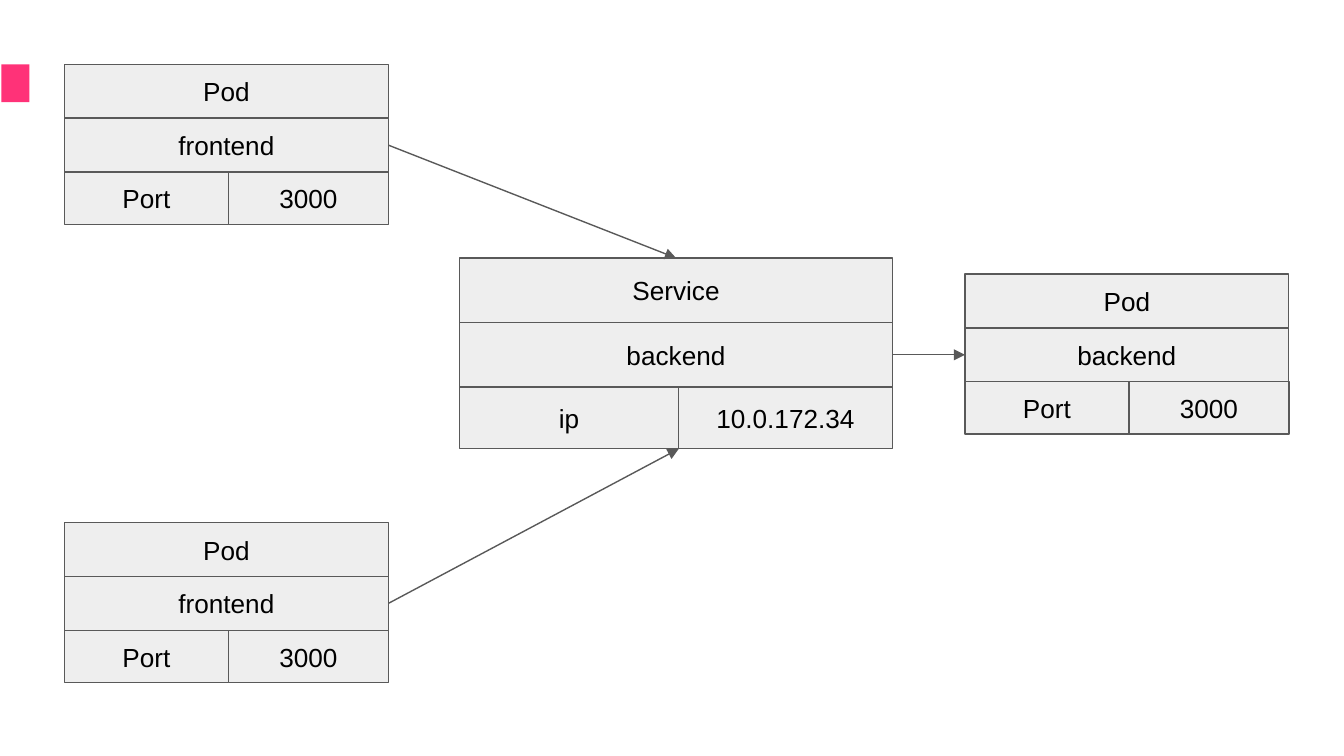
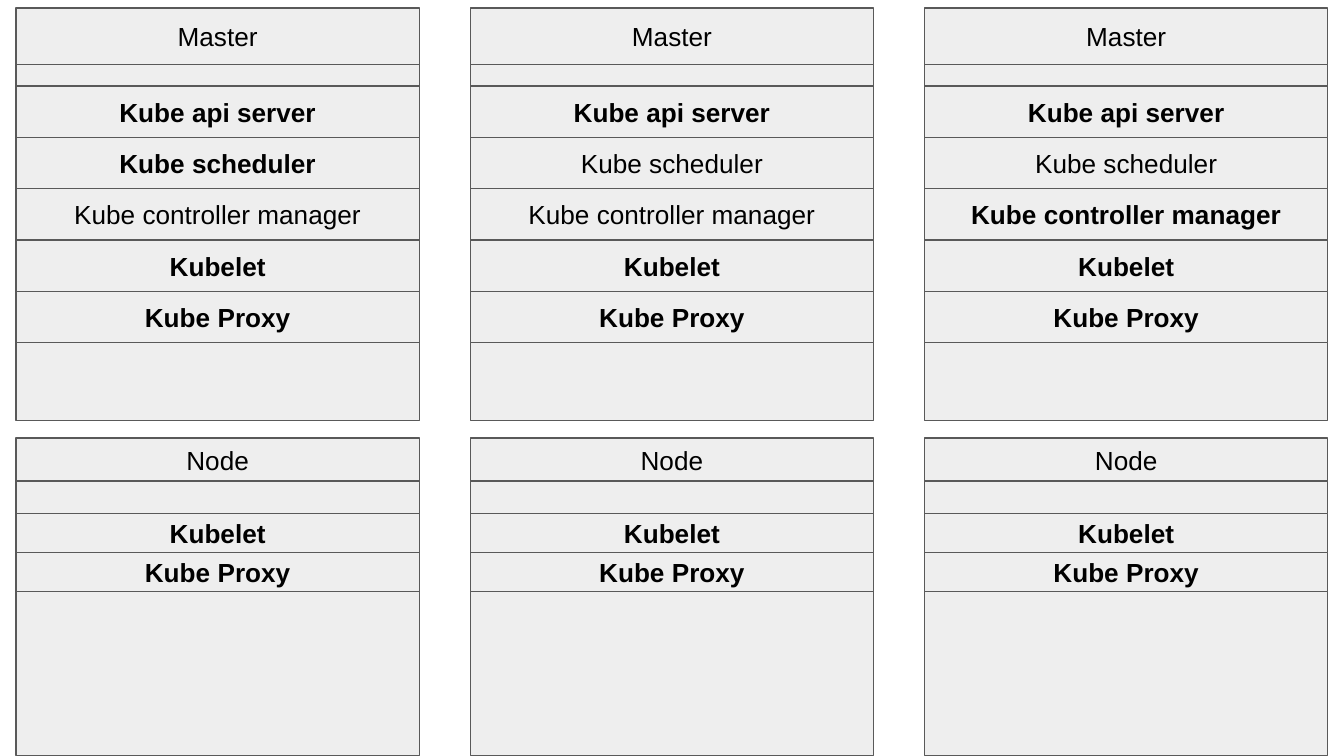
from lxml import etree
from pptx import Presentation
from pptx.dml.color import RGBColor
from pptx.enum.shapes import MSO_CONNECTOR as CONNECTOR, MSO_SHAPE as SHAPE
from pptx.enum.text import MSO_ANCHOR as ANCHOR, PP_ALIGN as ALIGN
from pptx.oxml.ns import qn
from pptx.util import Inches, Pt

ACCENT, FILL, LINE, TEXT = "FF3278", "EEEEEE", "595959", "000000"
FONT, SIZE, LINE_WIDTH = "Arial", 14, 0.75

# Slide 1: width, heading row height, bottom row height, width of the key cell
POD_SIZE = (2.41, 0.4, 0.39, 1.22)
SERVICE_SIZE = (3.22, 0.48, 0.46, 1.63)
CARDS = {
    "top frontend": (0.48, 0.48, POD_SIZE, ("Pod", "frontend", "Port", "3000")),
    "bottom frontend": (0.48, 3.89, POD_SIZE, ("Pod", "frontend", "Port", "3000")),
    "backend pod": (7.18, 2.04, POD_SIZE, ("Pod", "backend", "Port", "3000")),
    "service": (3.42, 1.92, SERVICE_SIZE, ("Service", "backend", "ip", "10.0.172.34")),
}

# Slide 2: each component with the columns where it is active (bold)
ALL = (0, 1, 2)
MASTER = [
    ("Kube api server", ALL),
    ("Kube scheduler", (0,)),
    ("Kube controller manager", (2,)),
    ("Kubelet", ALL),
    ("Kube Proxy", ALL),
]
NODE = [("Kubelet", ALL), ("Kube Proxy", ALL)]
# title, components, then top of the title, body, list; bottom of the list, body
MACHINES = [
    ("Master", MASTER, (0.06, 0.48, 0.64, 2.55, 3.13)),
    ("Node", NODE, (3.26, 3.58, 3.82, 4.4, 5.62)),
]
COLUMN_LEFT, COLUMN_WIDTH, COLUMN_STEP = 0.12, 3, 3.38


def color(hex_string):
    return RGBColor.from_string(hex_string)


def add_rect(shapes, left, top, width, height, fill):
    sp = shapes.add_shape(SHAPE.RECTANGLE, *map(Inches, (left, top, width, height)))
    sp.shadow.inherit = False
    sp.fill.solid()
    sp.fill.fore_color.rgb = color(fill)
    sp.line.fill.background()
    return sp


def add_cell(shapes, left, top, width, height, text="", bold=False):
    sp = add_rect(shapes, left, top, width, height, FILL)
    sp.line.color.rgb = color(LINE)
    sp.line.width = Pt(LINE_WIDTH)
    if text:
        tf = sp.text_frame
        tf.word_wrap = True
        tf.vertical_anchor = ANCHOR.MIDDLE
        tf.margin_left = tf.margin_right = tf.margin_top = tf.margin_bottom = Inches(0.1)
        p = tf.paragraphs[0]
        p.text = text
        p.alignment = ALIGN.CENTER
        p.font.name, p.font.size, p.font.bold = FONT, Pt(SIZE), bold
        p.font.color.rgb = color(TEXT)
    return sp


def add_card(s, left, top, size, texts):
    """Draw two heading rows above a key and value row; return the four cells."""
    width, heading_h, pair_h, key_w = size
    pair_top = top + 2 * heading_h
    boxes = [
        (left, top, width, heading_h),
        (left, top + heading_h, width, heading_h),
        (left, pair_top, key_w, pair_h),
        (left + key_w, pair_top, width - key_w, pair_h),
    ]
    shapes = s.shapes.add_group_shape().shapes
    return [add_cell(shapes, *box, text) for box, text in zip(boxes, texts)]


def add_arrow(s, start, end_x, end_y):
    """Draw an arrow from the right side of a cell to a point."""
    cxn = s.shapes.add_connector(CONNECTOR.STRAIGHT, 0, 0, end_x, end_y)
    cxn.begin_connect(start, 3)
    cxn.line.color.rgb = color(LINE)
    cxn.line.width = Pt(LINE_WIDTH)
    etree.SubElement(cxn.line._get_or_add_ln(), qn("a:tailEnd"), type="triangle")
    etree.SubElement(cxn._element.spPr, qn("a:effectLst"))
    return cxn


def build_service_slide(s):
    add_rect(s.shapes, 0.01, 0.48, 0.21, 0.28, ACCENT)
    cells = {name: add_card(s, *card) for name, card in CARDS.items()}
    service, service_name, _, address = cells["service"]
    add_arrow(s, cells["top frontend"][1], 0, 0).end_connect(service, 0)
    add_arrow(s, service_name, 0, 0).end_connect(cells["backend pod"][1], 1)
    add_arrow(s, cells["bottom frontend"][1],
              address.left, address.top + address.height)


def build_cluster_slide(s):
    for title, components, (top, body_top, list_top, list_end, end) in MACHINES:
        row_h = (list_end - list_top) / len(components)
        for column in ALL:
            left = COLUMN_LEFT + column * COLUMN_STEP
            shapes = s.shapes.add_group_shape().shapes
            add_cell(shapes, left, body_top, COLUMN_WIDTH, end - body_top)
            add_cell(shapes, left, top, COLUMN_WIDTH, body_top - top, title)
            for row, (name, active) in enumerate(components):
                add_cell(shapes, left, list_top + row * row_h, COLUMN_WIDTH, row_h,
                         name, column in active)


def main():
    prs = Presentation()
    prs.slide_width = Inches(10)
    prs.slide_height = prs.slide_width * 9 // 16
    for build in (build_service_slide, build_cluster_slide):
        build(prs.slides.add_slide(prs.slide_layouts[6]))
    prs.save("out.pptx")


if __name__ == "__main__":
    main()
